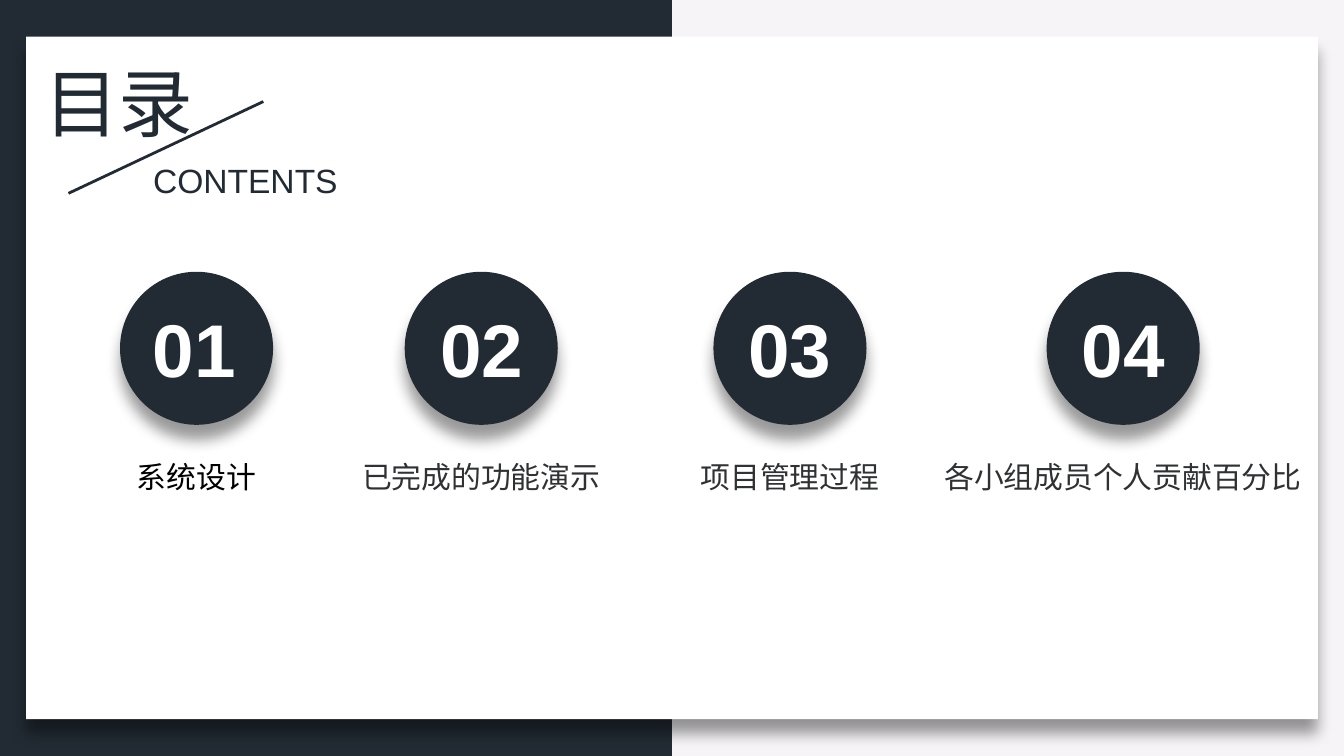
"""Build the contents slide with four numbered topics."""
from lxml import etree
from pptx import Presentation
from pptx.dml.color import RGBColor
from pptx.enum import shapes, text
from pptx.oxml import ns
from pptx.util import Pt

DARK = RGBColor(0x22, 0x2B, 0x34)
PALE = RGBColor(0xF6, 0xF4, 0xF7)
WHITE = RGBColor(0xFF, 0xFF, 0xFF)
BLACK = RGBColor(0, 0, 0)
GREY = RGBColor(0x30, 0x31, 0x33)

WIDE, HIGH = 720, 405
DISC = 82
TOPICS = (
    (105.3, 104, 78.5, "系统设计", "Arial", BLACK),
    (257.8, 258, 142.5, "已完成的功能演示", "Calibri", GREY),
    (423.2, 423, 111.5, "项目管理过程", "Calibri", GREY),
    (601.7, 601.7, 208, "各小组成员个人贡献百分比", "Calibri", GREY),
)


class Deck:
    def __init__(self):
        self.prs = Presentation()
        self.prs.slide_width, self.prs.slide_height = Pt(WIDE), Pt(HIGH)
        self.slide = self.prs.slides.add_slide(self.prs.slide_layouts[5])
        self.tree = self.slide.shapes
        back = self.slide.background.fill
        back.solid()
        back.fore_color.rgb = PALE

    def shade(self, shape):
        glow = shape._element.spPr.find(ns.qn("a:effectLst"))
        drop = etree.SubElement(glow, ns.qn("a:outerShdw"), blurRad=str(Pt(8)),
                                dist=str(Pt(8)), dir="5400000", algn="t", rotWithShape="0")
        tint = etree.SubElement(drop, ns.qn("a:srgbClr"), val=str(BLACK))
        etree.SubElement(tint, ns.qn("a:alpha"), val="40000")

    def block(self, kind, left, top, width, height, color, shadow=False):
        shape = self.tree.add_shape(kind, Pt(left), Pt(top), Pt(width), Pt(height))
        shape.shadow.inherit = False
        shape.fill.solid()
        shape.fill.fore_color.rgb = color
        shape.line.fill.background()
        if shadow:
            self.shade(shape)

    def line(self, x1, y1, x2, y2):
        rule = self.tree.add_connector(shapes.MSO_CONNECTOR.STRAIGHT,
                                       Pt(x1), Pt(y1), Pt(x2), Pt(y2))
        rule.line.color.rgb = DARK
        rule.line.width = Pt(1.5)
        etree.SubElement(rule._element.spPr, ns.qn("a:effectLst"))

    def letter(self, shape, words, color, align, font):
        frame = shape.text_frame
        form = {"word_wrap": False, "auto_size": text.MSO_AUTO_SIZE.SHAPE_TO_FIT_TEXT,
                "vertical_anchor": text.MSO_ANCHOR.TOP}
        for key, value in form.items():
            setattr(frame, key, value)
        para = frame.paragraphs[0]
        para.alignment = align
        run = para.add_run()
        run.text = words
        for key, value in font.items():
            setattr(run.font, key, value)
        run.font.color.rgb = color

    def label(self, left, top, width, height, words, color,
              align=text.PP_ALIGN.LEFT, **font):
        box = self.tree.add_textbox(Pt(left), Pt(top), Pt(width), Pt(height))
        self.letter(box, words, color, align, font)

    def title(self, left, top, width, height, words, color, **font):
        head = self.tree.title
        spot = {"left": left, "top": top, "width": width, "height": height}
        for key, value in spot.items():
            setattr(head, key, Pt(value))
        self.letter(head, words, color, text.PP_ALIGN.LEFT, font)
        self.tree._spTree.append(head._element)


def main():
    deck = Deck()
    rect, oval = shapes.MSO_SHAPE.RECTANGLE, shapes.MSO_SHAPE.OVAL
    mid = text.PP_ALIGN.CENTER
    deck.block(rect, 0, 0, WIDE / 2, HIGH, DARK)
    deck.block(rect, 14, 19.7, 692, 365.6, WHITE, shadow=True)
    deck.title(16.5, 26.6, 95, 55.4, "目录", DARK, name="Calibri", size=Pt(40))
    deck.line(141.1, 54.4, 36.7, 103.6)
    deck.label(74.9, 82.1, 114.5, 29, "CONTENTS", DARK, name="Arial", size=Pt(18))
    for num, (disc, digit, width, words, face, color) in enumerate(TOPICS, 1):
        deck.block(oval, disc - DISC / 2, 145.6, DISC, DISC, DARK, shadow=True)
        deck.label(disc - width / 2, 242, width, 26.6, words, color, mid,
                   name=face, size=Pt(16))
        deck.label(digit - 30, 158.6, 60, 55.4, f"{num:02}", WHITE, mid,
                   name="Arial", size=Pt(40), bold=True)
    deck.prs.save("out.pptx")


if __name__ == "__main__":
    main()
